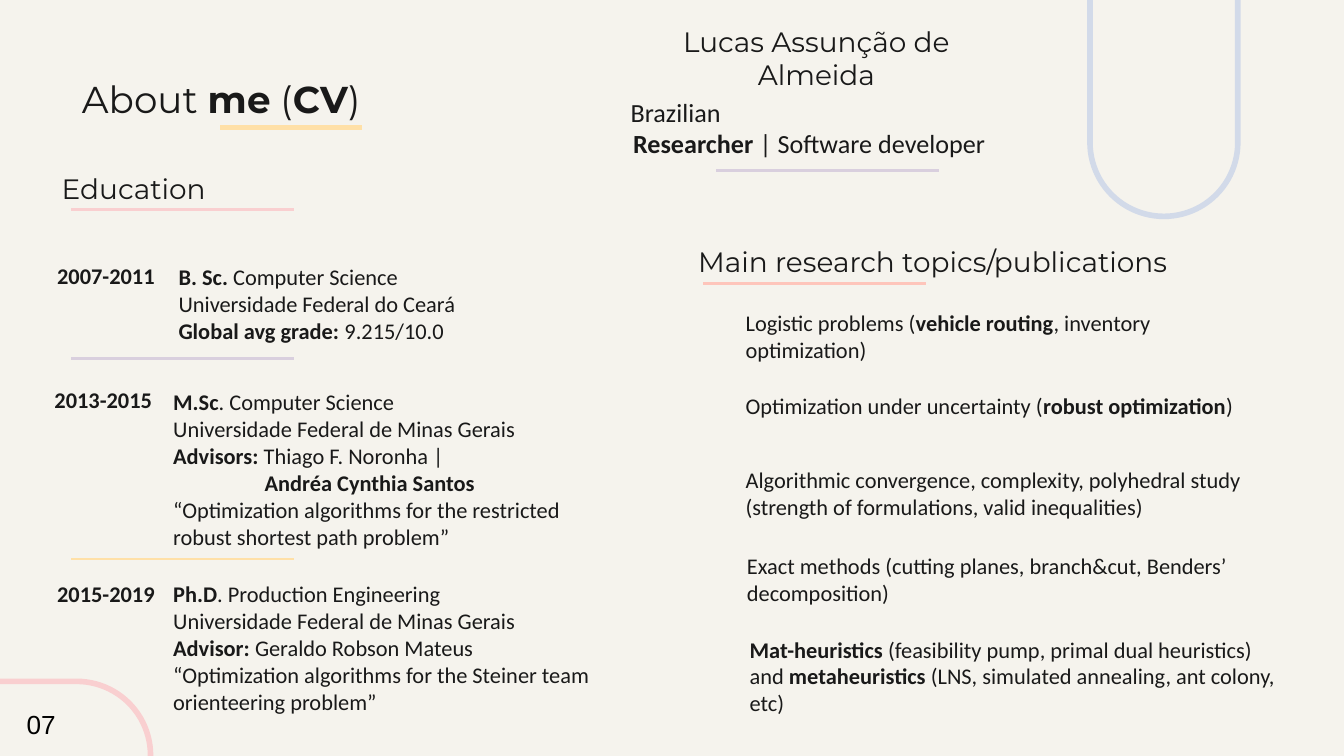
from dataclasses import dataclass

from lxml import etree
from pptx import Presentation
from pptx.dml.color import RGBColor
from pptx.enum.shapes import MSO_CONNECTOR, MSO_SHAPE
from pptx.enum.text import MSO_ANCHOR, PP_ALIGN
from pptx.oxml.ns import qn
from pptx.util import Inches, Pt

LEFT, CENTER, RIGHT = PP_ALIGN.LEFT, PP_ALIGN.CENTER, PP_ALIGN.RIGHT
TOP, BOTTOM = MSO_ANCHOR.TOP, MSO_ANCHOR.BOTTOM
ROUNDED = MSO_SHAPE.ROUNDED_RECTANGLE
STRAIGHT = MSO_CONNECTOR.STRAIGHT

CREAM = RGBColor(0xF5, 0xF3, 0xED)
INK = RGBColor(0x19, 0x19, 0x19)
BLACK = RGBColor(0x00, 0x00, 0x00)
BLUE = RGBColor(0xD2, 0xDA, 0xE9)
PINK = RGBColor(0xF9, 0xCF, 0xD0)
CORAL = RGBColor(0xFE, 0xC5, 0xBB)
LILAC = RGBColor(0xD9, 0xCF, 0xDE)
YELLOW = RGBColor(0xFF, 0xE0, 0xA7)

CELL = Inches(0.1)
COLUMNS, ROWS = 100, 56.25
RULE_COLUMNS = 16.6

TITLE = {"name": "Montserrat", "size": Pt(20)}
HEADING = {"name": "Montserrat", "size": Pt(15)}
ROLE = {"name": "Calibri", "size": Pt(14)}
BODY = {"name": "Calibri", "size": Pt(12)}
NUMBER = {"name": "Arial", "size": Pt(14)}


@dataclass
class Box:
    left: float
    top: float
    width: float
    height: float

    def area(self, left, top, width, height):
        return Box(self.left + left, self.top + top, width, height)

    def emu(self):
        sides = (self.left, self.top, self.width, self.height)
        return [round(side * CELL) for side in sides]


def add_text(page, box, lines, style, align=LEFT, anchor=TOP, color=INK, inset=1):
    frame = page.shapes.add_textbox(*box.emu()).text_frame
    layout = {
        "word_wrap": True,
        "vertical_anchor": anchor,
        "margin_left": CELL,
        "margin_right": CELL,
        "margin_top": round(inset * CELL),
        "margin_bottom": round(inset * CELL),
    }
    for name, value in layout.items():
        setattr(frame, name, value)
    for index, line in enumerate(lines):
        para = frame.paragraphs[0] if index == 0 else frame.add_paragraph()
        para.alignment = align
        for order, words in enumerate(line.split("*")):
            if not words:
                continue
            span = para.add_run()
            span.text = words
            for name, value in {**style, "bold": order % 2 == 1}.items():
                setattr(span.font, name, value)
            span.font.color.rgb = color
    return frame


def add_rule(page, box, color, weight=1.5):
    left, top, width, height = box.emu()
    rule = page.shapes.add_connector(STRAIGHT, left, top, left + width, top + height)
    rule.line.color.rgb = color
    rule.line.width = Pt(weight)
    etree.SubElement(rule.element.spPr, qn("a:effectLst"))


def add_pill(page, box, color, rotation=0):
    pill = page.shapes.add_shape(ROUNDED, *box.emu())
    pill.shadow.inherit = False
    pill.adjustments[0] = 0.5
    pill.rotation = rotation
    pill.fill.background()
    pill.line.color.rgb = color
    pill.line.width = Pt(3)


def draw_decoration(page, box):
    add_pill(page, box.area(73.7, -2.3, 25.8, 11), BLUE, 90)
    add_pill(page, box.area(-14.6, 50.7, 25.8, 11), PINK)
    add_text(page, box.area(1, 52.2, 5.2, 3.4), ["07"], NUMBER, color=BLACK, inset=0.5)


def draw_title(page, box):
    add_text(page, box, ["About *me* (*CV*)"], TITLE, CENTER)
    add_rule(page, box.area(13.4, 4.8, 10.5, 0), YELLOW, 3)


def draw_profile(page, box):
    add_text(page, box.area(0.8, 0, 30.3, 4.6), ["Lucas Assunção de Almeida"],
             HEADING, CENTER, BOTTOM)
    add_text(page, box.area(-0.4, 3, 10.2, 3.6), ["Brazilian"], ROLE, RIGHT)
    add_text(page, box.area(0, 5.3, 29.5, 3.6),
             ["*Researcher* | Software developer"], ROLE, RIGHT)
    add_rule(page, box.area(8.5, 9.5, RULE_COLUMNS, 0), LILAC)


def draw_degree(page, box, years, lines, shift=(0, 0), years_shift=0):
    add_text(page, box.area(years_shift, 0, 11.5, 3.6), [f"*{years}*"], BODY, RIGHT)
    across, down = shift
    return add_text(page, box.area(10.9 + across, down, 34.9, box.height), lines, BODY)


def draw_education(page, box):
    add_text(page, box.area(0, 0, 17.9, 4.6), ["Education"], HEADING, CENTER, BOTTOM)
    for row, color in ((3.9, PINK), (15, LILAC), (29.9, YELLOW)):
        add_rule(page, box.area(4.3, row, RULE_COLUMNS, 0), color)
    draw_degree(page, box.area(0, 6.8, box.width, 9.5), "2007-2011", [
        "*B. Sc. *Computer Science",
        "Universidade Federal do Ceará",
        "*Global avg grade: *9.215/10.0",
    ], (0.4, 0.1))
    master = draw_degree(page, box.area(0, 16, box.width, 8), "2013-2015", [
        "*M.Sc*. Computer Science",
        "Universidade Federal de Minas Gerais",
        "*Advisors: *Thiago F. Noronha |",
        "*Andréa Cynthia Santos*",
        "“Optimization algorithms for the restricted robust shortest path problem”",
    ], (0, 0.2), -0.2)
    second_advisor = master.paragraphs[3]
    properties = second_advisor._p.get_or_add_pPr()
    properties.set("marL", str(round(6.8 * CELL)))
    properties.set("indent", "0")
    draw_degree(page, box.area(0, 30.5, box.width, 9.5), "2015-2019", [
        "*Ph.D*. Production Engineering",
        "Universidade Federal de Minas Gerais",
        "*Advisor: *Geraldo Robson Mateus",
        "“Optimization algorithms for the Steiner team orienteering problem”",
    ])


def draw_research(page, box):
    add_text(page, box.area(0, 0, 38.2, 4.9), ["Main research topics/publications"],
             HEADING, CENTER, BOTTOM)
    add_rule(page, box.area(2, 4.3, RULE_COLUMNS, 0), CORAL)
    topics = (
        (4.2, 5.2, 39.4, "Logistic problems (*vehicle routing*, inventory optimization)"),
        (4.2, 11.4, 41.7, "Optimization under uncertainty (*robust optimization*)"),
        (4.2, 16.9, 41.7, "Algorithmic convergence, complexity, polyhedral study "
         "(strength of formulations, valid inequalities)"),
        (4.3, 23.3, 41.7, "Exact methods (cutting planes, branch&cut, Benders’ decomposition)"),
        (4.5, 29.5, 41.7, "*Mat-heuristics* (feasibility pump, primal dual heuristics) and "
         "*metaheuristics* (LNS, simulated annealing, ant colony, etc)"),
    )
    for left, top, width, words in topics:
        add_text(page, box.area(left, top, width, 3.6), [words], BODY)


def main():
    deck = Presentation()
    deck.slide_width = round(COLUMNS * CELL)
    deck.slide_height = round(ROWS * CELL)
    page = deck.slides.add_slide(deck.slide_layouts[6])
    page.background.fill.solid()
    page.background.fill.fore_color.rgb = CREAM
    draw_decoration(page, Box(0, 0, COLUMNS, ROWS))
    draw_title(page, Box(3, 4.7, 26.9, 6.3))
    draw_profile(page, Box(44.8, 3.2, 31.1, 9.5))
    draw_education(page, Box(1, 11.7, 45.8, 40))
    draw_research(page, Box(50.3, 16.8, 46.2, 33.1))
    deck.save("out.pptx")


if __name__ == "__main__":
    main()
